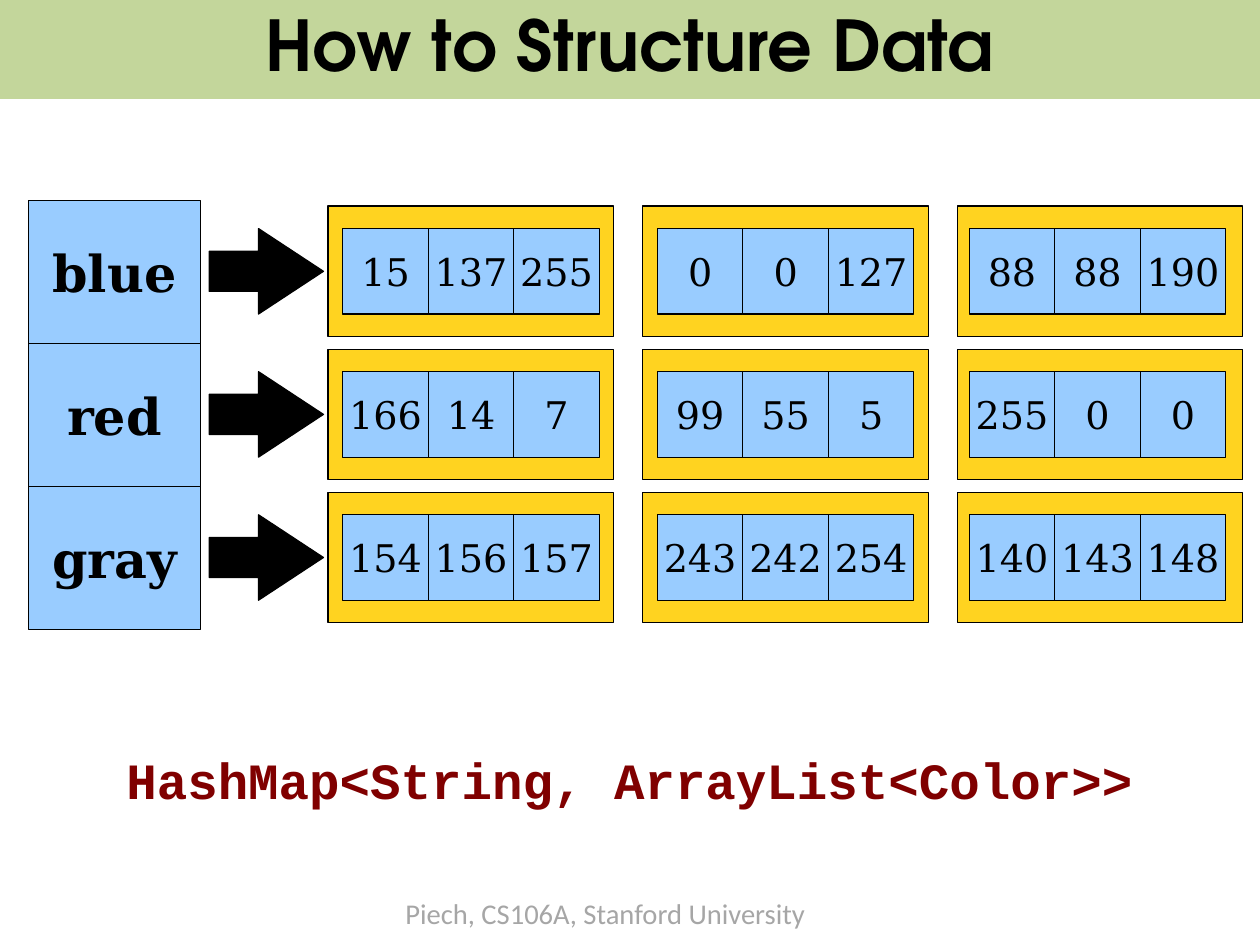
"""Build the slide "How to Structure Data": colour names mapped to lists of colours."""
from pptx import Presentation
from pptx.dml.color import RGBColor
from pptx.enum.shapes import MSO_SHAPE as Shape
from pptx.enum.text import MSO_ANCHOR as Anchor, PP_ALIGN as Align
from pptx.util import Cm, Pt

BLACK = RGBColor(0x00, 0x00, 0x00)
SKY = RGBColor(0x99, 0xCC, 0xFF)
GOLD = RGBColor(0xFF, 0xD3, 0x20)
GREEN = RGBColor(0xC3, 0xD6, 0x9B)
MAROON = RGBColor(0x80, 0x00, 0x00)
GRAY = RGBColor(0xA6, 0xA6, 0xA6)

TITLE_FONT = {"name": "TeX Gyre Adventor", "size": Pt(44.1), "bold": True}
KEY_FONT = {"name": "DejaVu Serif", "size": Pt(32), "bold": True}
VALUE_FONT = {"name": "DejaVu Serif", "size": Pt(24)}
CODE_FONT = {"name": "Courier New", "size": Pt(32), "bold": True}
FOOTER_FONT = {"name": "Calibri", "size": Pt(18)}

COLOR_MAP = {
    "blue": [(15, 137, 255), (0, 0, 127), (88, 88, 190)],
    "red": [(166, 14, 7), (99, 55, 5), (255, 0, 0)],
    "gray": [(154, 156, 157), (243, 242, 254), (140, 143, 148)],
}
ROW_TOP, ROW_HEIGHT = 4.45, 3.18
CARD_LEFT, CARD_PITCH = 7.29, 6.99
CELL_LEFTS = (7.62, 14.61, 21.54)
CELL_SIZE = 1.9

presentation = Presentation()
presentation.slide_width, presentation.slide_height = Cm(28), Cm(21)
slide = presentation.slides.add_slide(presentation.slide_layouts[6])


def add_box(kind, left, top, width, height, fill):
    shape = slide.shapes.add_shape(kind, Cm(left), Cm(top), Cm(width), Cm(height))
    shape.shadow.inherit = False
    shape.fill.solid()
    shape.fill.fore_color.rgb = fill
    shape.line.color.rgb = BLACK
    shape.line.width = Pt(0)
    return shape


def write(shape, text, font_values, color=BLACK, alignment=Align.CENTER, anchor=Anchor.MIDDLE):
    frame = shape.text_frame
    frame.word_wrap = False
    frame.vertical_anchor = anchor
    paragraph = frame.paragraphs[0]
    paragraph.alignment = alignment
    run = paragraph.add_run()
    run.text = text
    for name, value in font_values.items():
        setattr(run.font, name, value)
    run.font.color.rgb = color
    return paragraph


footer = slide.shapes.add_textbox(Cm(8.76), Cm(19.86), Cm(9.5), Cm(0.97))
footer_line = write(footer, "Piech, CS106A, Stanford University", FOOTER_FONT, GRAY, Align.LEFT, Anchor.TOP)
footer_line.line_spacing = 0.93

for row, (key, colors) in enumerate(COLOR_MAP.items()):
    top = ROW_TOP + row * ROW_HEIGHT
    cell_top = top + 0.63
    key_box = add_box(Shape.RECTANGLE, 0.64, top, 3.81, ROW_HEIGHT, SKY)
    write(key_box, key, KEY_FONT)

    arrow = add_box(Shape.RIGHT_ARROW, 4.65, cell_top, 2.54, CELL_SIZE, BLACK)
    arrow.adjustments[0] = 0.47
    arrow.adjustments[1] = 0.76

    for column, (cell_left, channels) in enumerate(zip(CELL_LEFTS, colors)):
        add_box(Shape.RECTANGLE, CARD_LEFT + column * CARD_PITCH, top + 0.13, 6.35, 2.9, GOLD)
        for index, channel in enumerate(channels):
            cell = add_box(Shape.RECTANGLE, cell_left + index * CELL_SIZE, cell_top, CELL_SIZE, CELL_SIZE, SKY)
            write(cell, str(channel), VALUE_FONT)

code = slide.shapes.add_textbox(Cm(0), Cm(16.51), Cm(28), Cm(1.63))
write(code, "HashMap<String, ArrayList<Color>>", CODE_FONT, MAROON, anchor=Anchor.TOP)

title = add_box(Shape.RECTANGLE, 0, -0.08, 28, 2.28, GREEN)
title.line.fill.background()
title_line = write(title, "How to Structure Data", TITLE_FONT)
title_line.line_spacing = 0.93

presentation.save("out.pptx")
